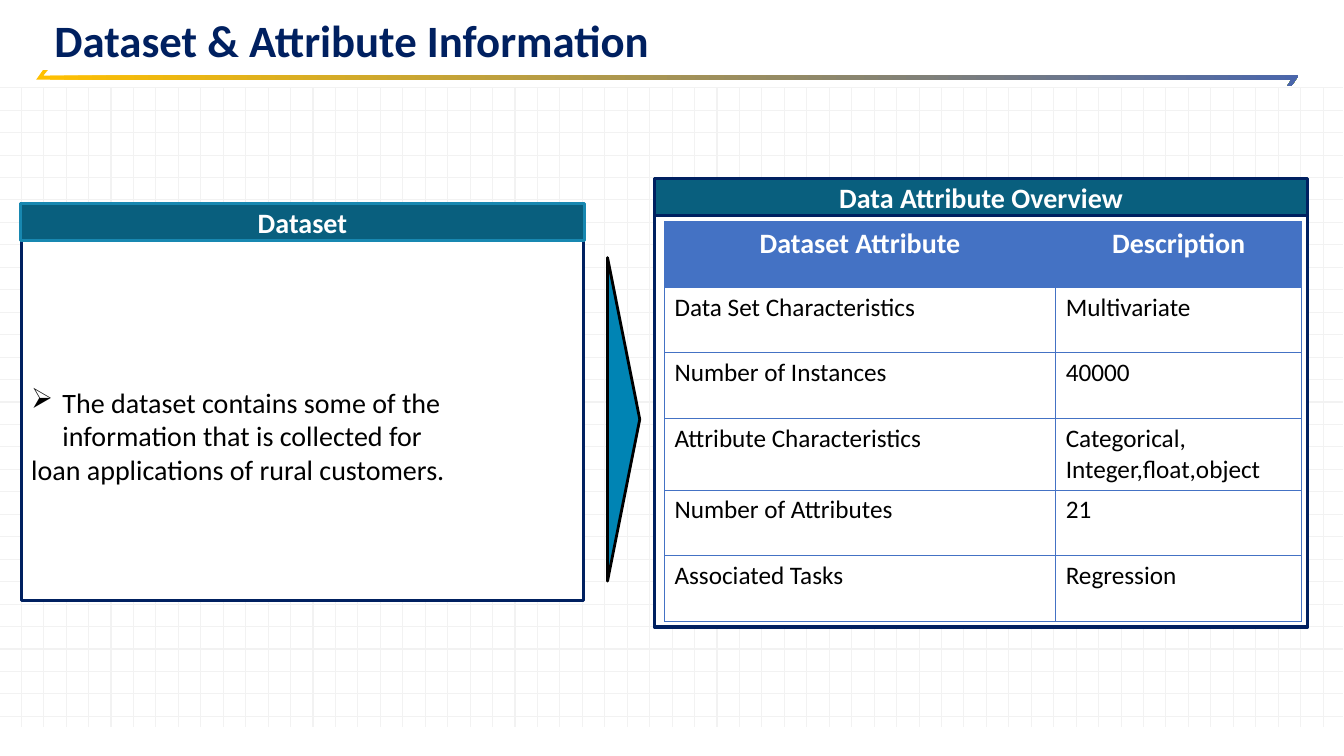
"""Builds the slide on a dataset and its attributes; lengths are percentages of the slide's size."""
from typing import NamedTuple

from lxml import etree
from pptx import Presentation
from pptx import util as u
from pptx.dml import color, fill
from pptx.enum import shapes, text
from pptx.oxml import ns

SLIDE_WIDTH, SLIDE_HEIGHT = u.Inches(13.33), u.Inches(7.5)
FONT = "Calibri"
NAVY, TEAL, BLUE = "002060", "095F7E", "4472C4"
BLACK, WHITE, GRID_GREY = "000000", "FFFFFF", "F2F2F2"
GRID_LEFT, GRID_TOP, GRID_RIGHT, GRID_BOTTOM = 1.58, 11.6, 99.93, 96.13
COLUMN_STEP, ROW_STEP, COLUMN_COUNT, ROW_COUNT = 1.67, 2.97, 59, 29


class Box(NamedTuple):
    """A rectangle in percentages of the slide's width and height."""
    left: float
    top: float
    width: float
    height: float


class Block(NamedTuple):
    """A filled and outlined preset shape, with an optional heading."""
    box: Box
    fill: str
    line: str
    line_width: float
    heading: str = ""
    preset: shapes.MSO_SHAPE = shapes.MSO_SHAPE.RECTANGLE
    rotation: float = 0


DATASET_BODY = Block(Box(1.58, 31.73, 41.86, 47.73), WHITE, NAVY, 2.25)
DATASET_HEADER = Block(Box(1.5, 26.93, 42.01, 4.93), TEAL, "1888B1", 2, "Dataset")
OVERVIEW_BODY = Block(Box(48.69, 28.27, 48.61, 54.67), WHITE, NAVY, 2.25)
OVERVIEW_HEADER = Block(Box(48.69, 23.6, 48.61, 4.93), TEAL, NAVY, 2, "Data Attribute Overview")
POINTER = Block(Box(34.36, 53.33, 24.08, 4.27), "0084B4", BLACK, 2,
                preset=shapes.MSO_SHAPE.ISOSCELES_TRIANGLE, rotation=90)
TITLE_BOX = Box(3.3, -0.27, 93.32, 9.87)
RIBBON = [(3.23, 9.2), (3.6, 9.2), (3.23, 10), (96.62, 10), (96.1, 11.33),
          (95.8, 11.33), (96.1, 10.53), (2.7, 10.53)]
DATASET_TEXT = ["The dataset contains some of the information that is collected for",
                "loan applications of rural customers."]
TABLE_BOX = Box(49.44, 29.33, 47.41, 52.67)
TABLE_COLUMNS = [29.11, 18.3]
TABLE_ROWS = [8.67, 8.67, 8.67, 9.07, 8.67, 8.67]
ATTRIBUTES = [
    ("Dataset Attribute", "Description"),
    ("Data Set Characteristics", "Multivariate"),
    ("Number of Instances", "40000"),
    ("Attribute Characteristics", "Categorical, Integer,float,object"),
    ("Number of Attributes", "21"),
    ("Associated Tasks", "Regression"),
]


def across(share: float) -> int:
    """Turn a percentage of the slide's width into a length."""
    return u.Emu(round(SLIDE_WIDTH * share / 100))


def down(share: float) -> int:
    """Turn a percentage of the slide's height into a length."""
    return u.Emu(round(SLIDE_HEIGHT * share / 100))


def place(box: Box) -> tuple[int, int, int, int]:
    """Turn a box into left, top, width and height."""
    return across(box.left), down(box.top), across(box.width), down(box.height)


def rgb(value: str) -> color.RGBColor:
    """Turn a hex string into a colour."""
    return color.RGBColor.from_string(value)


def paint(target: fill.FillFormat, value: str) -> None:
    """Fill solidly with one colour."""
    target.solid()
    target.fore_color.rgb = rgb(value)


def style(paragraph, size: float, value: str, bold: bool = False, centred: bool = False) -> None:
    """Set a paragraph's font and alignment."""
    font = paragraph.font
    font.name, font.size, font.bold = FONT, u.Pt(size), bold
    font.color.rgb = rgb(value)
    paragraph.alignment = text.PP_ALIGN.CENTER if centred else text.PP_ALIGN.LEFT


def draw_grid_line(slide, left: float, top: float, right: float, bottom: float) -> None:
    """Draw one thin background line."""
    connector = slide.shapes.add_connector(
        shapes.MSO_CONNECTOR.STRAIGHT, across(left), down(top), across(right), down(bottom))
    connector.line.width = u.Pt(0.75)
    connector.line.color.rgb = rgb(GRID_GREY)
    etree.SubElement(connector._element.spPr, ns.qn("a:effectLst"))


def draw_grid(slide) -> None:
    """Draw the background grid."""
    for column in range(COLUMN_COUNT):
        x = GRID_LEFT + column * COLUMN_STEP
        draw_grid_line(slide, x, GRID_TOP, x, GRID_BOTTOM)
    for row in range(ROW_COUNT):
        y = GRID_TOP + row * ROW_STEP
        draw_grid_line(slide, 0, y, GRID_RIGHT, y)


def draw_ribbon(slide) -> None:
    """Draw the gradient ribbon under the title."""
    points = [(across(x), down(y)) for x, y in RIBBON]
    builder = slide.shapes.build_freeform(*points[0])
    builder.add_line_segments(points[1:], close=True)
    shape = builder.convert_to_shape()
    shape.shadow.inherit = False
    shape.line.fill.background()
    shape.fill.gradient()
    shape.fill.gradient_angle = 0
    for stop, position, value in zip(shape.fill.gradient_stops, (0, 1), ("FFC000", "4A66AC")):
        stop.position = position
        stop.color.rgb = rgb(value)


def write_title(slide) -> None:
    """Fill, move and format the title placeholder."""
    title = slide.shapes.title
    title.left, title.top, title.width, title.height = place(TITLE_BOX)
    frame = title.text_frame
    frame.text = "Dataset & Attribute Information"
    frame.auto_size = text.MSO_AUTO_SIZE.NONE
    frame.vertical_anchor = text.MSO_ANCHOR.BOTTOM
    frame.paragraphs[0].line_spacing = 0.9
    style(frame.paragraphs[0], 32, NAVY, bold=True)


def draw_block(slide, block: Block):
    """Draw one block and return its shape."""
    shape = slide.shapes.add_shape(block.preset, *place(block.box))
    shape.rotation = block.rotation
    shape.shadow.inherit = False
    paint(shape.fill, block.fill)
    shape.line.color.rgb = rgb(block.line)
    shape.line.width = u.Pt(block.line_width)
    if block.heading:
        shape.text_frame.text = block.heading
        style(shape.text_frame.paragraphs[0], 20, WHITE, bold=True, centred=True)
    return shape


def add_bullet(paragraph, symbol: str) -> None:
    """Give a paragraph a black hanging bullet."""
    properties = paragraph._p.get_or_add_pPr()
    indent = across(2.33)
    properties.set("marL", str(indent))
    properties.set("indent", str(-indent))
    bullet_color = etree.Element(ns.qn("a:buClr"))
    etree.SubElement(bullet_color, ns.qn("a:srgbClr"), val=BLACK)
    bullet = etree.Element(ns.qn("a:buChar"), char=symbol)
    properties.insert(0, bullet_color)
    properties.insert(1, bullet)


def write_dataset_text(shape) -> None:
    """Write the description of the dataset."""
    frame = shape.text_frame
    frame.vertical_anchor = text.MSO_ANCHOR.MIDDLE
    frame.margin_top, frame.margin_right = down(4.7), across(6.25)
    frame.text = "\n".join(DATASET_TEXT)
    for paragraph in frame.paragraphs:
        style(paragraph, 20, BLACK)
    add_bullet(frame.paragraphs[0], "➢")


def add_borders(cell) -> None:
    """Draw thin blue lines on all sides of a cell."""
    properties = cell._tc.get_or_add_tcPr()
    for position, side in enumerate(("lnL", "lnR", "lnT", "lnB")):
        line = etree.Element(ns.qn(f"a:{side}"), w=str(u.Pt(0.5)))
        solid = etree.SubElement(line, ns.qn("a:solidFill"))
        etree.SubElement(solid, ns.qn("a:srgbClr"), val=BLUE)
        properties.insert(position, line)


def draw_table(slide) -> None:
    """Draw the table of attributes."""
    table = slide.shapes.add_table(len(TABLE_ROWS), len(TABLE_COLUMNS), *place(TABLE_BOX)).table
    table.horz_banding = False
    for column, width in zip(table.columns, TABLE_COLUMNS):
        column.width = across(width)
    for row, height, values in zip(table.rows, TABLE_ROWS, ATTRIBUTES):
        row.height = down(height)
        is_header = values == ATTRIBUTES[0]
        for cell, value in zip(row.cells, values):
            cell.text = value
            paint(cell.fill, BLUE if is_header else WHITE)
            style(cell.text_frame.paragraphs[0], 20 if is_header else 18,
                  WHITE if is_header else BLACK, bold=is_header, centred=is_header)
            add_borders(cell)


def main() -> None:
    """Build and save the presentation."""
    presentation = Presentation()
    presentation.slide_width, presentation.slide_height = SLIDE_WIDTH, SLIDE_HEIGHT
    slide = presentation.slides.add_slide(presentation.slide_layouts[5])
    draw_grid(slide)
    draw_ribbon(slide)
    write_title(slide)
    write_dataset_text(draw_block(slide, DATASET_BODY))
    for block in (DATASET_HEADER, OVERVIEW_BODY, OVERVIEW_HEADER):
        draw_block(slide, block)
    draw_table(slide)
    draw_block(slide, POINTER)
    presentation.save("out.pptx")


if __name__ == "__main__":
    main()
